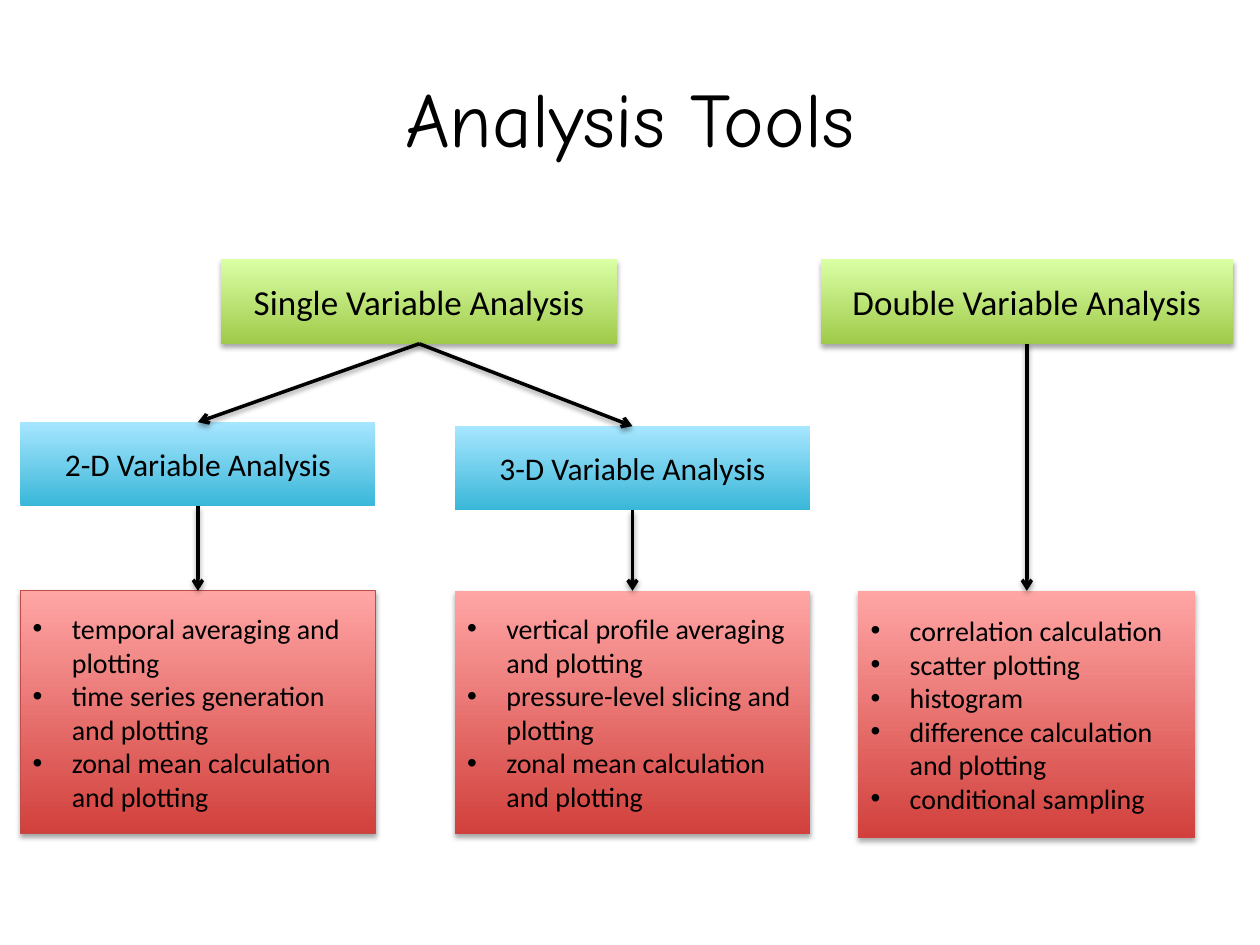
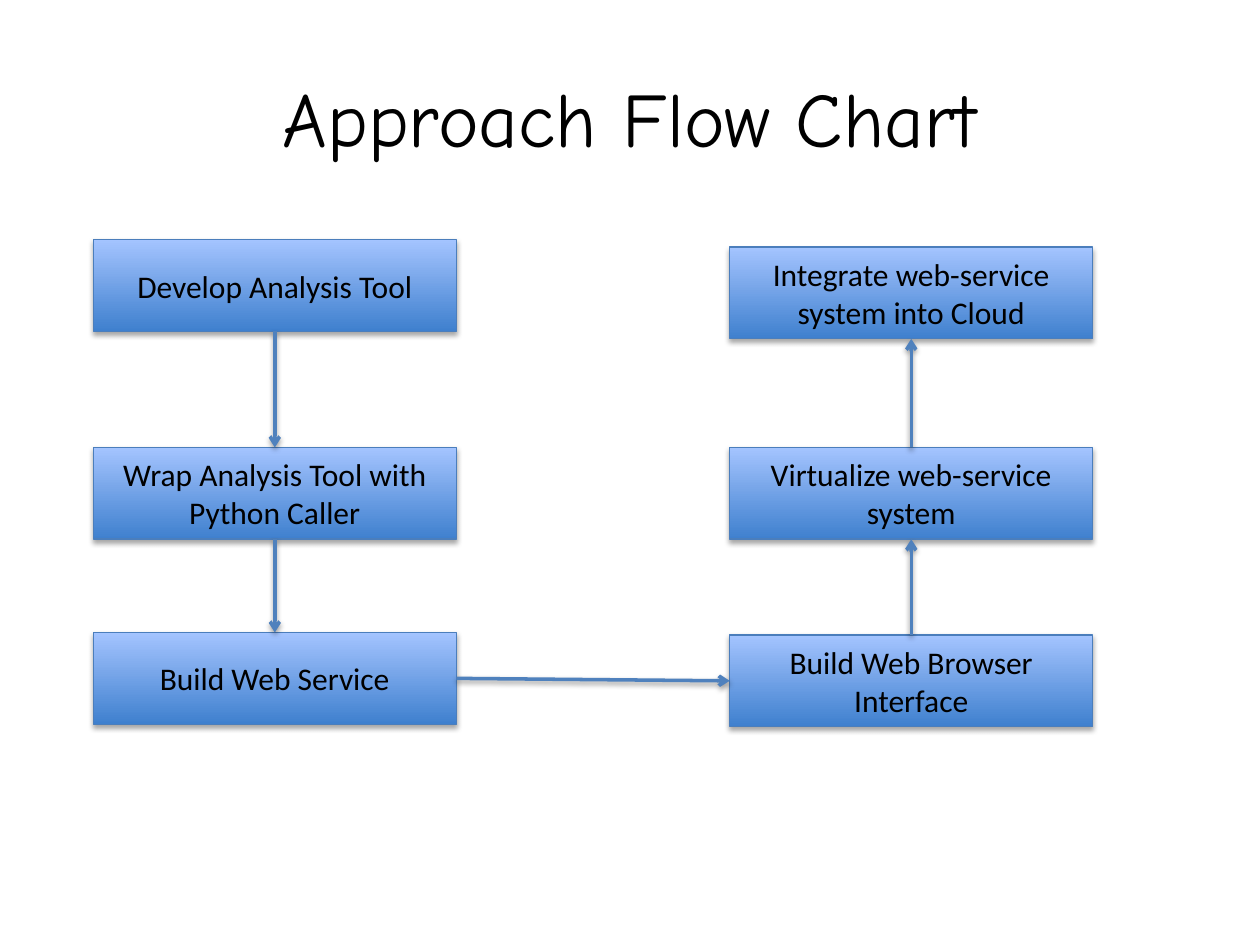
from lxml.etree import SubElement
from pptx import Presentation
from pptx.dml.color import RGBColor
from pptx.enum.shapes import MSO_CONNECTOR, MSO_SHAPE
from pptx.enum.text import MSO_ANCHOR, PP_ALIGN
from pptx.oxml.ns import qn
from pptx.util import Cm, Pt

BLACK = RGBColor(0x00, 0x00, 0x00)
ARROW_BLUE = RGBColor(0x4F, 0x81, 0xBD)
EDGE_BLUE = RGBColor(0x4B, 0x7E, 0xBC)
EDGE_RED = RGBColor(0xBF, 0x4C, 0x48)
# Gradients run from the bottom colour to the top colour
GREEN = RGBColor(0xA0, 0xCA, 0x4A), RGBColor(0xDA, 0xFF, 0xA5)
CYAN = RGBColor(0x39, 0xB7, 0xD8), RGBColor(0xA7, 0xE6, 0xFF)
RED = RGBColor(0xD1, 0x40, 0x3C), RGBColor(0xFF, 0xA6, 0xA5)
BLUE = RGBColor(0x3F, 0x80, 0xCE), RGBColor(0xA4, 0xC4, 0xFF)

TITLE_FONT, BODY_FONT = "Comic Neue", "Calibri"
TOP, LEFT, BOTTOM, RIGHT = range(4)

# Boxes: (left, top, width) in cm, then the text
HEADING_HEIGHT = 1.7
GROUPS = {
    "single": ((4.45, 5.23, 8), "Single Variable Analysis"),
    "double": ((16.55, 5.23, 8.3), "Double Variable Analysis"),
}
DIMENSIONS = {
    "2-D": ((0.41, 8.51, 7.16), "2-D Variable Analysis"),
    "3-D": ((9.17, 8.59, 7.16), "3-D Variable Analysis"),
}
TOOLS_TOP = 11.91
# Tool lists: (left, width, height) in cm, edge colour, bullets
TOOLS = {
    "2-D": ((0.41, 7.16, 4.9), EDGE_RED, [
        "temporal averaging and plotting",
        "time series generation and plotting",
        "zonal mean calculation and plotting",
    ]),
    "3-D": ((9.17, 7.16, 4.9), None, [
        "vertical profile averaging and plotting",
        "pressure-level slicing and plotting",
        "zonal mean calculation and plotting",
    ]),
    "double": ((17.3, 6.8, 4.98), None, [
        "correlation calculation",
        "scatter plotting",
        "histogram",
        "difference calculation and plotting",
        "conditional sampling",
    ]),
}

STEP_WIDTH, STEP_HEIGHT = 7.32, 1.85
# Flow chart columns: left edge, then (top, text) from top to bottom
STEPS_DOWN = 1.88, [
    (4.83, "Develop Analysis Tool"),
    (9.02, "Wrap Analysis Tool with Python Caller"),
    (12.75, "Build Web Service"),
]
STEPS_UP = 14.71, [
    (4.98, "Integrate web-service system into Cloud"),
    (9.02, "Virtualize web-service system"),
    (12.8, "Build Web Browser Interface"),
]


def write_text(shape, lines, size, font=BODY_FONT, color=BLACK,
               align=PP_ALIGN.CENTER, bullets=False):
    frame = shape.text_frame
    frame.word_wrap = True
    frame.vertical_anchor = MSO_ANCHOR.MIDDLE
    for index, line in enumerate(lines):
        paragraph = frame.add_paragraph() if index else frame.paragraphs[0]
        paragraph.alignment = align
        if bullets:
            properties = paragraph._p.get_or_add_pPr()
            properties.set("marL", str(Cm(0.79)))
            properties.set("indent", str(-Cm(0.79)))
            SubElement(properties, qn("a:buFont"), typeface="Arial")
            SubElement(properties, qn("a:buChar"), char="•")
        run = paragraph.add_run()
        run.text = line
        run.font.size = Pt(size)
        run.font.name = font
        run.font.color.rgb = color


def add_shadow(shape, distance, opacity):
    properties = shape._element.spPr
    effects = properties.find(qn("a:effectLst"))
    if effects is None:
        effects = SubElement(properties, qn("a:effectLst"))
    shadow = SubElement(effects, qn("a:outerShdw"), blurRad=str(Pt(3.1)),
                        dist=str(Pt(distance)), dir="5400000", rotWithShape="0")
    color = SubElement(shadow, qn("a:srgbClr"), val=str(BLACK))
    SubElement(color, qn("a:alpha"), val=str(opacity * 1000))


def add_box(slide, position, lines, gradient, size, edge=None, shadow=True, **text_format):
    shape = slide.shapes.add_shape(MSO_SHAPE.RECTANGLE, *map(Cm, position))
    shape.fill.gradient()
    shape.fill.gradient_angle = 90
    for stop, color in zip(shape.fill.gradient_stops, gradient):
        stop.color.rgb = color
    if edge:
        shape.line.color.rgb = edge
        shape.line.width = Pt(0.75)
    else:
        shape.line.fill.background()
    shape.shadow.inherit = False
    if shadow:
        add_shadow(shape, 1.8, 35)
    write_text(shape, lines, size, **text_format)
    return shape


def add_arrow(slide, start, end, color, start_side=BOTTOM, end_side=TOP):
    connector = slide.shapes.add_connector(MSO_CONNECTOR.STRAIGHT, 0, 0, 0, 0)
    connector.begin_connect(start, start_side)
    connector.end_connect(end, end_side)
    connector.line.color.rgb = color
    connector.line.width = Pt(2)
    SubElement(connector._element.spPr.find(qn("a:ln")), qn("a:tailEnd"), type="arrow")
    add_shadow(connector, 1.6, 38)


def add_titled_slide(presentation, title):
    slide = presentation.slides.add_slide(presentation.slide_layouts[6])
    box = slide.shapes.add_textbox(Cm(1.27), Cm(0.76), Cm(22.86), Cm(3.18))
    write_text(box, [title], 44, font=TITLE_FONT)
    return slide


def build_tools_slide(presentation):
    slide = add_titled_slide(presentation, "Analysis Tools")
    headings = {}
    for name, (position, text) in GROUPS.items():
        headings[name] = add_box(slide, (*position, HEADING_HEIGHT), [text], GREEN, 20)
    for name, (position, text) in DIMENSIONS.items():
        headings[name] = add_box(slide, (*position, HEADING_HEIGHT), [text], CYAN, 18,
                                 shadow=False)
    tool_boxes = {}
    for name, ((left, width, height), edge, tools) in TOOLS.items():
        tool_boxes[name] = add_box(slide, (left, TOOLS_TOP, width, height), tools, RED, 16,
                                   edge=edge, align=PP_ALIGN.LEFT, bullets=True)
    for name in DIMENSIONS:
        add_arrow(slide, headings["single"], headings[name], BLACK)
    for name, box in tool_boxes.items():
        add_arrow(slide, headings[name], box, BLACK)


def build_flow_slide(presentation):
    slide = add_titled_slide(presentation, "Approach Flow Chart")
    (develop, wrap, service), (integrate, virtualize, browser) = [
        [add_box(slide, (left, top, STEP_WIDTH, STEP_HEIGHT), [text], BLUE, 18, edge=EDGE_BLUE)
         for top, text in steps]
        for left, steps in (STEPS_DOWN, STEPS_UP)
    ]
    add_arrow(slide, develop, wrap, ARROW_BLUE)
    add_arrow(slide, wrap, service, ARROW_BLUE)
    add_arrow(slide, service, browser, ARROW_BLUE, RIGHT, LEFT)
    add_arrow(slide, browser, virtualize, ARROW_BLUE, TOP, BOTTOM)
    add_arrow(slide, virtualize, integrate, ARROW_BLUE, TOP, BOTTOM)


def main():
    presentation = Presentation()
    presentation.slide_width = Cm(25.4)
    presentation.slide_height = Cm(19.05)
    build_tools_slide(presentation)
    build_flow_slide(presentation)
    presentation.save("out.pptx")


if __name__ == "__main__":
    main()
